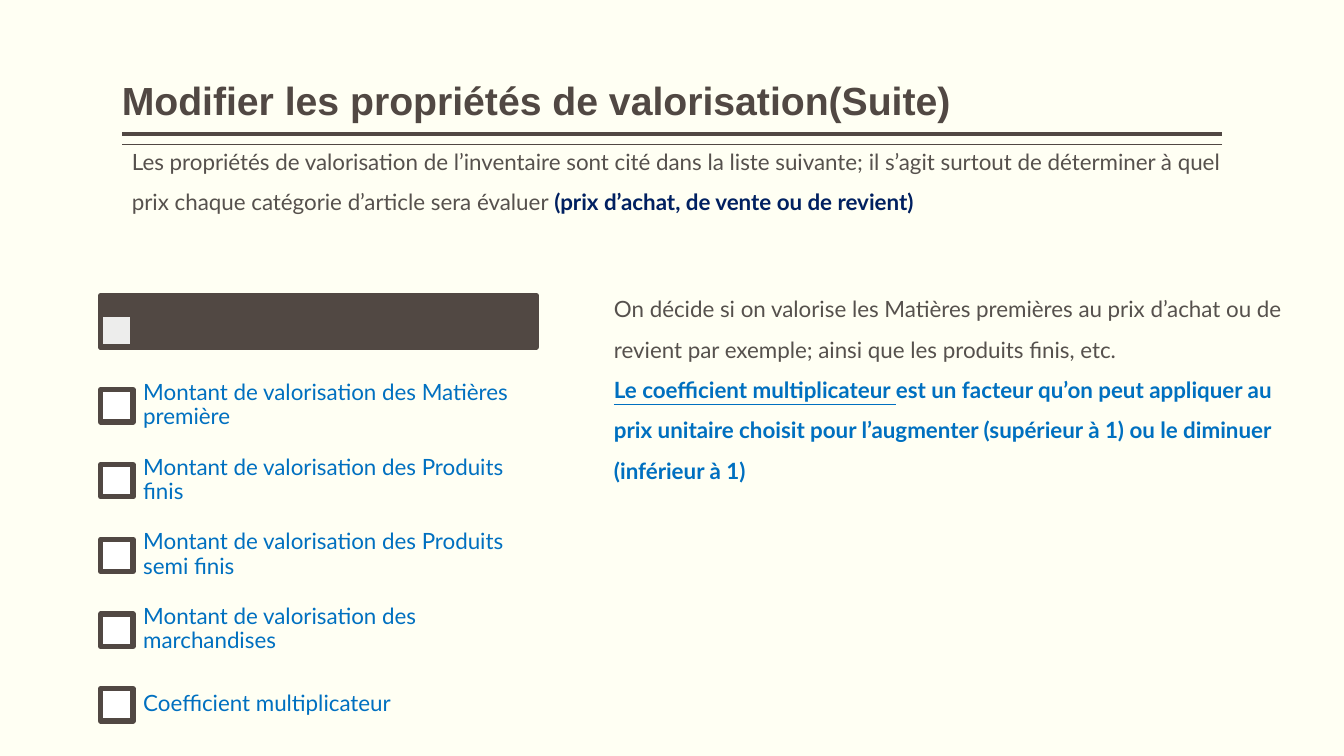
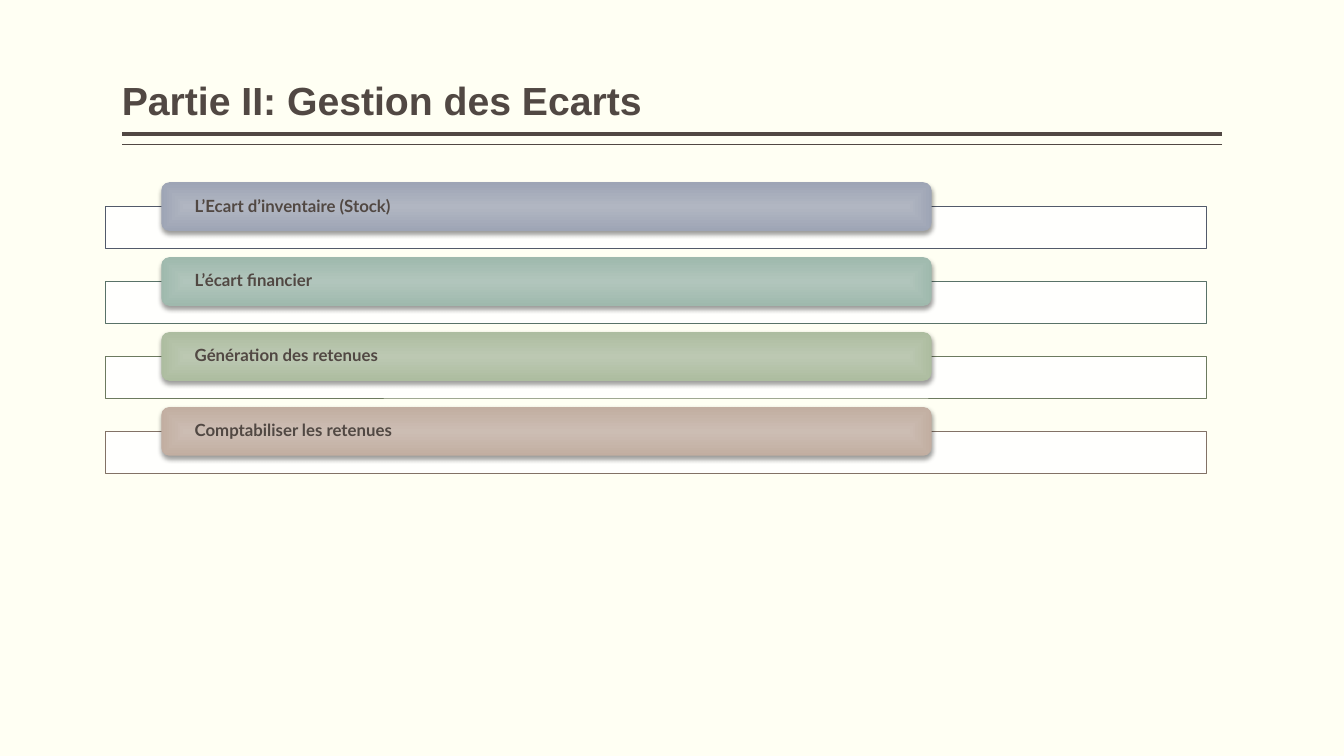
from dataclasses import dataclass
from lxml.etree import SubElement
from pptx import Presentation
from pptx.dml.color import RGBColor
from pptx.enum.shapes import MSO_CONNECTOR, MSO_SHAPE
from pptx.enum.text import MSO_ANCHOR, MSO_AUTO_SIZE, PP_ALIGN
from pptx.oxml.ns import qn
from pptx.util import Inches, Pt

COLS, ROWS = 160, 90


@dataclass(frozen=True)
class Theme:
    paper: str = "FFFFF3"
    dark: str = "514843"
    white: str = "FFFFFF"
    black: str = "000000"
    body: str = "56514D"
    blue: str = "0070C0"
    navy: str = "002060"
    head: str = "Arial"
    text: str = "Lato"
    big: int = 28
    mid: int = 16
    small: int = 12


THEME = Theme()


def write(frame, text, join=False, font=THEME.text, size=THEME.mid,
          color=THEME.body, bold=False, under=False, space=0.9):
    para = frame.paragraphs[-1]
    if para.runs and not join:
        para = frame.add_paragraph()
    para.alignment = PP_ALIGN.LEFT
    para.line_spacing = space
    run = para.add_run()
    run.text = text
    run.font.name = font
    run.font.size = Pt(size)
    run.font.bold = bold
    run.font.underline = under
    run.font.color.rgb = RGBColor.from_string(color)


class Deck:
    def __init__(self, theme):
        self.theme = theme
        self.show = Presentation()
        self.show.slide_width = Inches(13.333)
        self.show.slide_height = Inches(7.5)
        self.wide = self.show.slide_width / COLS
        self.high = self.show.slide_height / ROWS
        self.plan = self.show.slide_layouts[5]
        self.slide = None
        self.tint(self.show.slide_master.background.fill, theme.paper)

    def area(self, left, top, width, height):
        return (round(left * self.wide), round(top * self.high),
                round(width * self.wide), round(height * self.high))

    def tint(self, fill, color):
        fill.solid()
        fill.fore_color.rgb = RGBColor.from_string(color)

    def frame(self, shape, anchor=MSO_ANCHOR.TOP, side=1.2, edge=0.6):
        frame = shape.text_frame
        frame.word_wrap = True
        frame.auto_size = MSO_AUTO_SIZE.NONE
        frame.vertical_anchor = anchor
        frame.margin_left = frame.margin_right = round(side * self.wide)
        frame.margin_top = frame.margin_bottom = round(edge * self.high)
        return frame

    def page(self, title):
        self.slide = self.show.slides.add_slide(self.plan)
        head = self.slide.shapes.title
        head.left, head.top, head.width, head.height = self.area(14.5, 1, 131, 14.4)
        write(self.frame(head, MSO_ANCHOR.BOTTOM, side=0), title, bold=True,
              font=self.theme.head, size=self.theme.big, color=self.theme.dark)
        self.rule(16, 3)
        self.rule(17.2, 1)

    def rule(self, top, weight):
        left, top, width, _ = self.area(14.5, top, 131, 0)
        rule = self.slide.shapes.add_connector(
            MSO_CONNECTOR.STRAIGHT, left + width, top, left, top)
        rule.line.width = Pt(weight)
        rule.line.color.rgb = RGBColor.from_string(self.theme.dark)
        SubElement(rule.element.spPr, qn("a:effectLst"))

    def text(self, *spot, **inset):
        return self.frame(self.slide.shapes.add_textbox(*self.area(*spot)), **inset)

    def box(self, *spot, fill, line, weight, clear=False):
        box = self.slide.shapes.add_shape(MSO_SHAPE.RECTANGLE, *self.area(*spot))
        box.shadow.inherit = False
        self.tint(box.fill, fill)
        if clear:
            SubElement(box.element.spPr.find(".//" + qn("a:srgbClr")),
                       qn("a:alpha"), val="90000")
        box.line.width = Pt(weight)
        box.line.color.rgb = RGBColor.from_string(line)

    def check(self, top, clear=False):
        self.box(12, top, 3.85, 3.85, fill=self.theme.white,
                 line=self.theme.dark, weight=3.78, clear=clear)

    def pill(self, *spot, label, inner, outer):
        pill = self.slide.shapes.add_shape(MSO_SHAPE.ROUNDED_RECTANGLE, *self.area(*spot))
        pill.line.fill.background()
        pill.fill.gradient()
        for stop, color in zip(pill.fill.gradient_stops, (inner, outer)):
            stop.color.rgb = RGBColor.from_string(color)
        props = pill.element.spPr
        grad = props.find(qn("a:gradFill"))
        grad.remove(grad.find(qn("a:lin")))
        way = SubElement(grad, qn("a:path"), {"path": "rect"})
        SubElement(way, qn("a:fillToRect"), dict.fromkeys("ltrb", "50000"))
        pill.shadow.inherit = False
        shade = SubElement(props.find(qn("a:effectLst")), qn("a:outerShdw"),
                           blurRad=str(Pt(3.5)), dist=str(Pt(2)), dir="5400000")
        ink = SubElement(shade, qn("a:srgbClr"), val=self.theme.black)
        SubElement(ink, qn("a:alpha"), val="38000")
        write(self.frame(pill, MSO_ANCHOR.MIDDLE, side=3.7, edge=0), label,
              size=self.theme.small, color=self.theme.dark, bold=True)


def values(deck):
    theme = deck.theme
    deck.page("Modifier les propriétés de valorisation(Suite)")
    deck.box(12, 35.2, 51.85, 6.1, fill=theme.dark, line=theme.dark, weight=3.78)
    deck.check(37.45, clear=True)
    items = ("Montant de valorisation des Matières première",
             "Montant de valorisation des Produits finis",
             "Montant de valorisation des Produits semi finis",
             "Montant de valorisation des marchandises",
             "Coefficient multiplicateur")
    for row, item in enumerate(items):
        top = 43.8 + row * 8.9
        deck.check(top + 2.6)
        label = deck.text(15.6, top, 48.25, 8.9, anchor=MSO_ANCHOR.MIDDLE,
                          side=1.45, edge=1.45)
        write(label, item, color=theme.blue)

    note = deck.text(71.9, 33, 84, 25.4)
    write(note, "On décide si on valorise les Matières premières au prix d’achat "
          "ou de revient par exemple; ainsi que les produits finis, etc.", space=1.5)
    write(note, "Le coefficient multiplicateur ", color=theme.blue,
          bold=True, under=True, space=1.5)
    write(note, "est un facteur qu’on peut appliquer au prix unitaire choisit pour "
          "l’augmenter (supérieur à 1) ou le diminuer (inférieur à 1)",
          join=True, color=theme.blue, bold=True, space=1.5)

    intro = deck.text(14.5, 15.4, 135.4, 10.9)
    write(intro, "Les propriétés de valorisation de l’inventaire sont cité dans la "
          "liste suivante; il s’agit surtout de déterminer à quel prix chaque "
          "catégorie d’article sera évaluer ", space=1.5)
    write(intro, "(prix d’achat, de vente ou de revient)", join=True,
          color=theme.navy, bold=True, space=1.5)


def gaps(deck):
    deck.page("Partie II: Gestion des Ecarts")
    parts = (("L’Ecart d’inventaire (Stock)", "525A6A", "B1B6C2", "9EA5B5"),
             ("L’écart financier", "597268", "B1C5BC", "9FB9AD"),
             ("Génération des retenues", "6C7A5F", "BCC8B2", "ADBDA0"),
             ("Comptabiliser les retenues", "827266", "CCBDB3", "C2AEA1"))
    for row, (label, line, inner, outer) in enumerate(parts):
        top = 21.7 + row * 8.92
        deck.box(12.6, top + 2.9, 131, 4.95, fill=deck.theme.white,
                 line=line, weight=0.5, clear=True)
        deck.pill(19.2, top, 91.7, 5.8, label=label, inner=inner, outer=outer)


def main():
    deck = Deck(THEME)
    values(deck)
    gaps(deck)
    deck.show.save("out.pptx")


if __name__ == "__main__":
    main()
